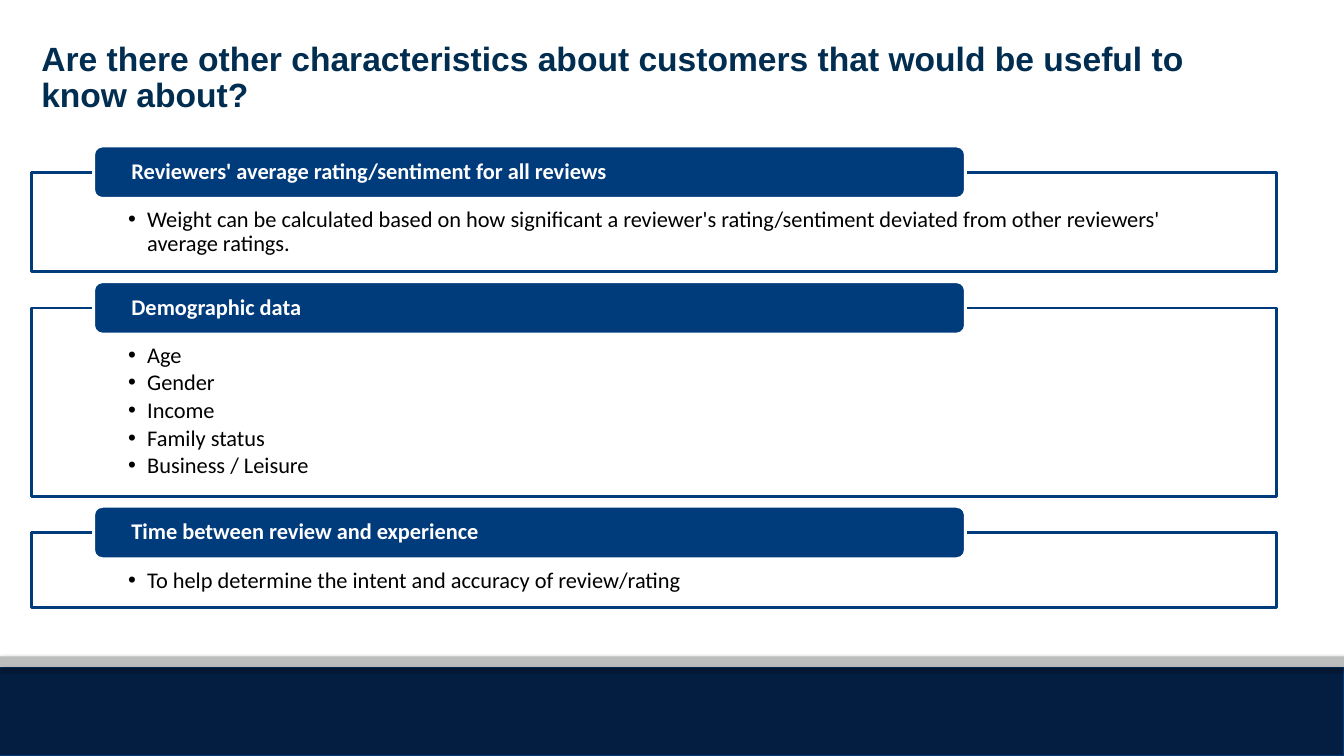
"""Build the slide on further useful customer characteristics."""
from dataclasses import dataclass

import lxml.etree
import pptx
import pptx.dml.color
import pptx.enum.shapes
import pptx.enum.text
import pptx.oxml.ns
import pptx.shapes.autoshape
import pptx.shapes.base
import pptx.slide
import pptx.text.text
import pptx.util

Cm = pptx.util.Cm
Pt = pptx.util.Pt
qn = pptx.oxml.ns.qn
MSO_SHAPE = pptx.enum.shapes.MSO_SHAPE
ANCHOR = pptx.enum.text.MSO_ANCHOR

BLUE = "003B7C"
WHITE = "FFFFFF"
COMPARISON_LAYOUT = 4
MARGIN = 0.79
SECTION_WIDTH = 31.37
FIRST_TOP = 4.34
SECTION_GAP = 0.91
HEADING_HEIGHT = 1.32


@dataclass
class Section:
    """A headed frame with its bullet points."""
    heading: str
    points: list[str]
    height: float


@dataclass
class Band:
    """A full-width strip at the foot of the slide."""
    top: float
    height: float
    fill: str
    line: str


SECTIONS = [
    Section("Reviewers' average rating/sentiment for all reviews",
            ["Weight can be calculated based on how significant a reviewer's rating/sentiment "
             "deviated from other reviewers' average ratings."], 2.51),
    Section("Demographic data",
            ["Age", "Gender", "Income", "Family status", "Business / Leisure"], 4.75),
    Section("Time between review and experience",
            ["To help determine the intent and accuracy of review/rating"], 1.88),
]
BANDS = [Band(16.81, 2.24, "041E42", "003A79"), Band(16.54, 0.26, "BBBCBC", "")]


def colour(value: str) -> pptx.dml.color.RGBColor:
    """Turn a hex string into a colour."""
    return pptx.dml.color.RGBColor.from_string(value)


def place(shape: pptx.shapes.base.BaseShape, left: float, top: float,
          width: float, height: float) -> None:
    """Move and size a shape in centimetres."""
    shape.left, shape.top = Cm(left), Cm(top)
    shape.width, shape.height = Cm(width), Cm(height)


def paint(shape: pptx.shapes.autoshape.Shape, fill: str, line: str, width: float) -> None:
    """Give a shape its fill and outline; an empty line colour means none."""
    shape.fill.solid()
    shape.fill.fore_color.rgb = colour(fill)
    if line:
        shape.line.color.rgb = colour(line)
        shape.line.width = Pt(width)
    else:
        shape.line.fill.background()


def write(shape: pptx.shapes.autoshape.Shape, text: str, font: str, size: float, ink: str,
          bold: bool, anchor: ANCHOR, insets: tuple[float, float, float, float]) -> None:
    """Fill a shape with left-aligned formatted text."""
    frame = shape.text_frame
    frame.text = text
    frame.word_wrap = True
    frame.auto_size = pptx.enum.text.MSO_AUTO_SIZE.NONE
    frame.vertical_anchor = anchor
    frame.margin_left, frame.margin_top, frame.margin_right, frame.margin_bottom = map(Cm, insets)
    for paragraph in frame.paragraphs:
        paragraph.alignment = pptx.enum.text.PP_ALIGN.LEFT
        paragraph.line_spacing = 0.9
        paragraph.space_before = Pt(0)
        for run in paragraph.runs:
            run.font.name = font
            run.font.size = Pt(size)
            run.font.bold = bold
            run.font.color.rgb = colour(ink)


def add_bullet(paragraph: pptx.text.text._Paragraph) -> None:
    """Give a paragraph a hanging bullet."""
    paragraph.space_after = Pt(2.4)
    properties = paragraph._p.get_or_add_pPr()
    properties.set("marL", str(Cm(0.48)))
    properties.set("indent", str(-Cm(0.48)))
    lxml.etree.SubElement(properties, qn("a:buChar")).set("char", "•")


def add_shadow(shape: pptx.shapes.autoshape.Shape) -> None:
    """Add a soft shadow below a shape."""
    effects = shape._element.spPr.find(qn("a:effectLst"))
    shadow = lxml.etree.SubElement(effects, qn("a:outerShdw"), blurRad=str(Pt(3.1)),
                                   dist=str(Pt(1.8)), dir="5400000", rotWithShape="0")
    tint = lxml.etree.SubElement(shadow, qn("a:srgbClr"), val="000000")
    lxml.etree.SubElement(tint, qn("a:alpha"), val="35000")


def draw_band(slide: pptx.slide.Slide, band: Band, width: float) -> None:
    """Draw one strip at the foot of the slide."""
    strip = slide.shapes.add_shape(MSO_SHAPE.RECTANGLE, 0, Cm(band.top), Cm(width), Cm(band.height))
    strip.shadow.inherit = False
    paint(strip, band.fill, band.line, 0.75)
    add_shadow(strip)


def draw_section(slide: pptx.slide.Slide, section: Section,
                 points: pptx.shapes.autoshape.Shape, top: float) -> None:
    """Draw a framed list with its heading across the top edge."""
    place(points, MARGIN, top, SECTION_WIDTH, section.height)
    paint(points, WHITE, BLUE, 2)
    write(points, "\n".join(section.points), "Calibri", 16, "000000", False,
          ANCHOR.TOP, (2.44, 0.91, 2.44, 0.3))
    for point in points.text_frame.paragraphs:
        add_bullet(point)

    heading = slide.shapes.add_shape(MSO_SHAPE.ROUNDED_RECTANGLE, Cm(2.36),
                                     Cm(top - HEADING_HEIGHT / 2), Cm(21.97), Cm(HEADING_HEIGHT))
    heading.shadow.inherit = False
    paint(heading, BLUE, WHITE, 2)
    write(heading, section.heading, "Calibri", 16, WHITE, True, ANCHOR.MIDDLE, (0.89, 0, 0.89, 0))


def main() -> None:
    """Build and save the presentation."""
    deck = pptx.Presentation()
    deck.slide_width, deck.slide_height = Cm(33.87), Cm(19.05)
    slide = deck.slides.add_slide(deck.slide_layouts[COMPARISON_LAYOUT])
    question, *lists = slide.placeholders

    place(question, MARGIN, 0.94, 31.27, 2.44)
    write(question,
          "Are there other characteristics about customers that would be useful to know about?",
          "Arial", 24, "002D50", True, ANCHOR.TOP, (0.25, 0.13, 0.25, 0.13))

    for band in BANDS:
        draw_band(slide, band, 33.87)

    top = FIRST_TOP
    for section, points in zip(SECTIONS, lists):
        draw_section(slide, section, points, top)
        top += section.height + SECTION_GAP

    for unused in lists[len(SECTIONS):]:
        unused._element.getparent().remove(unused._element)

    deck.save("out.pptx")


if __name__ == "__main__":
    main()
